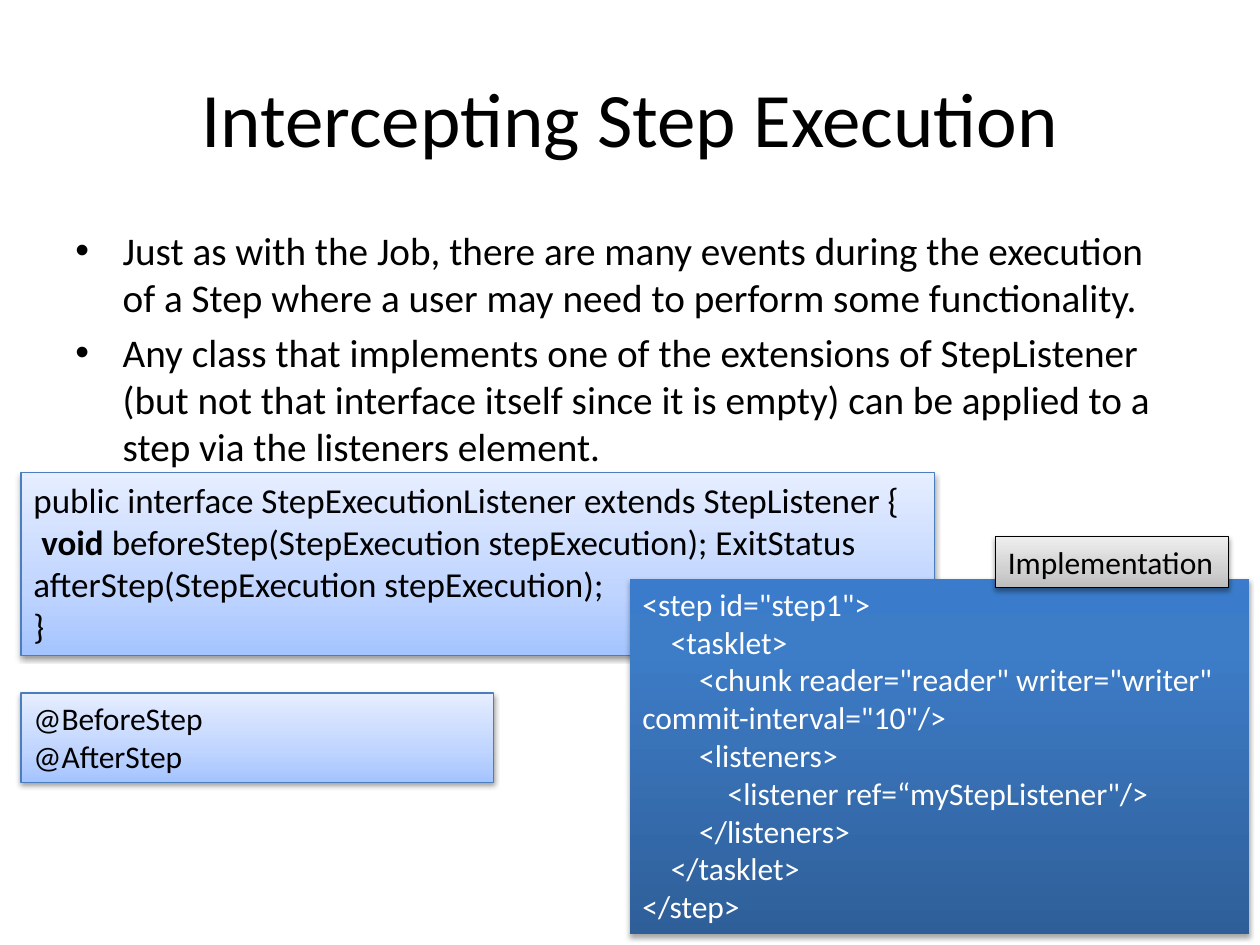
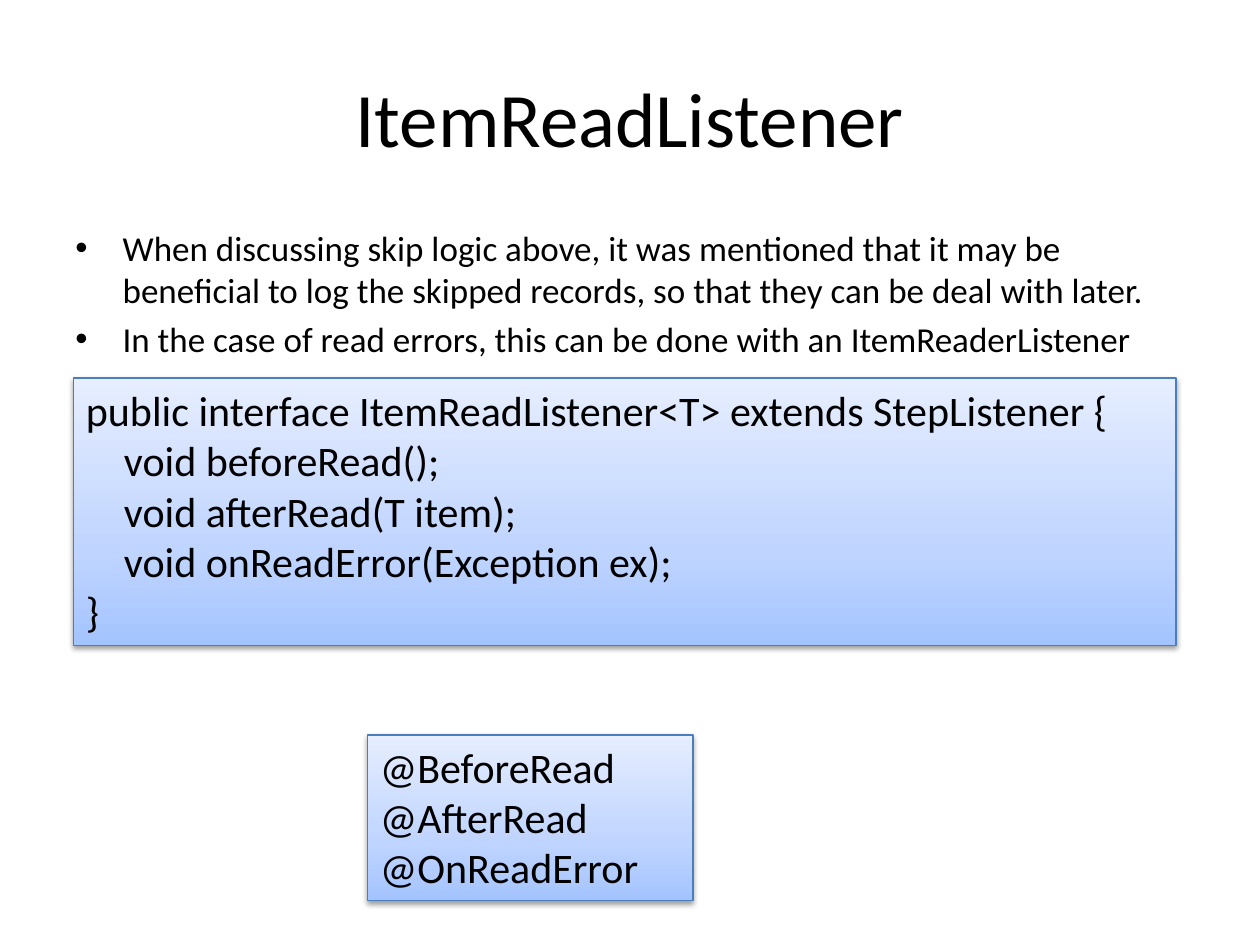
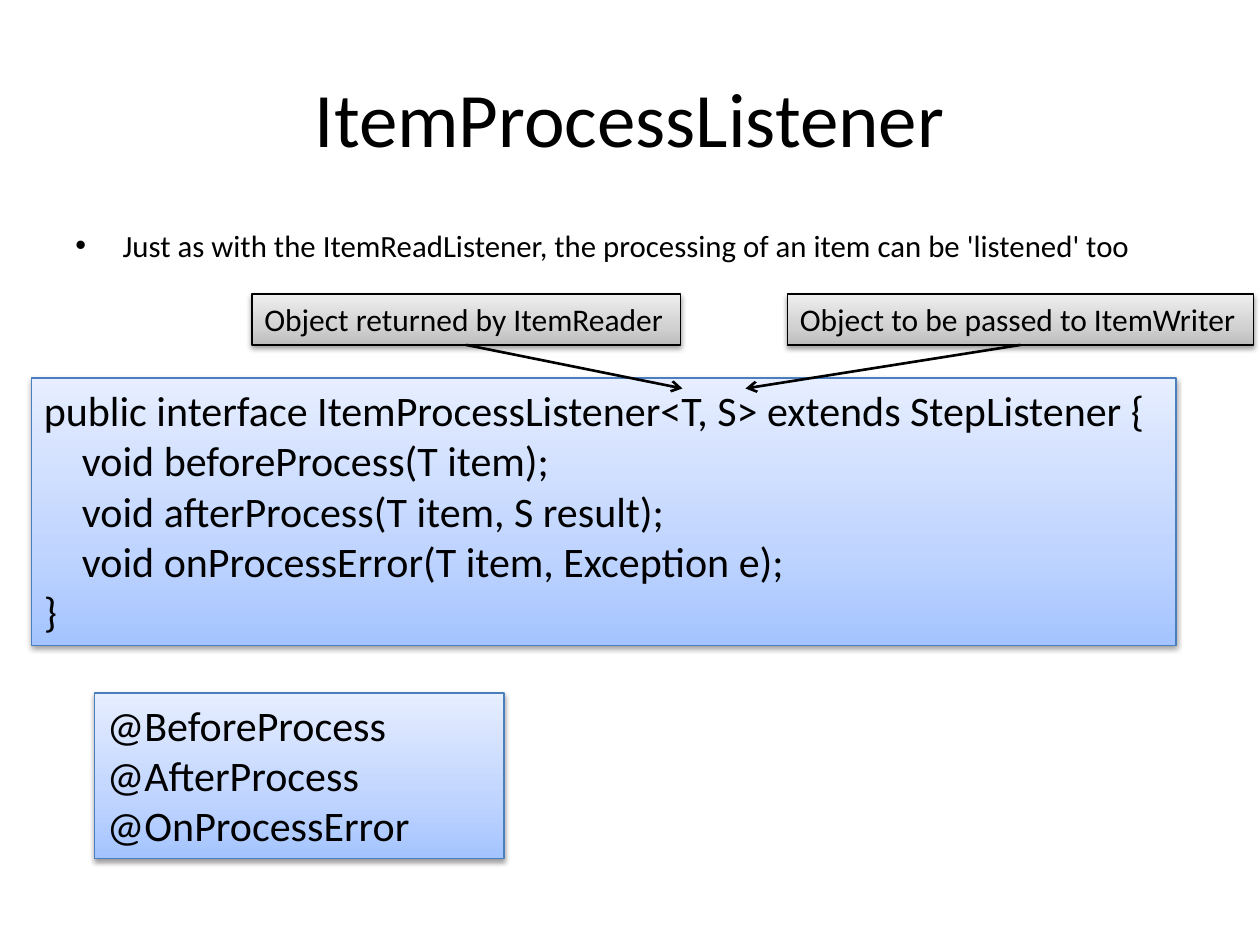
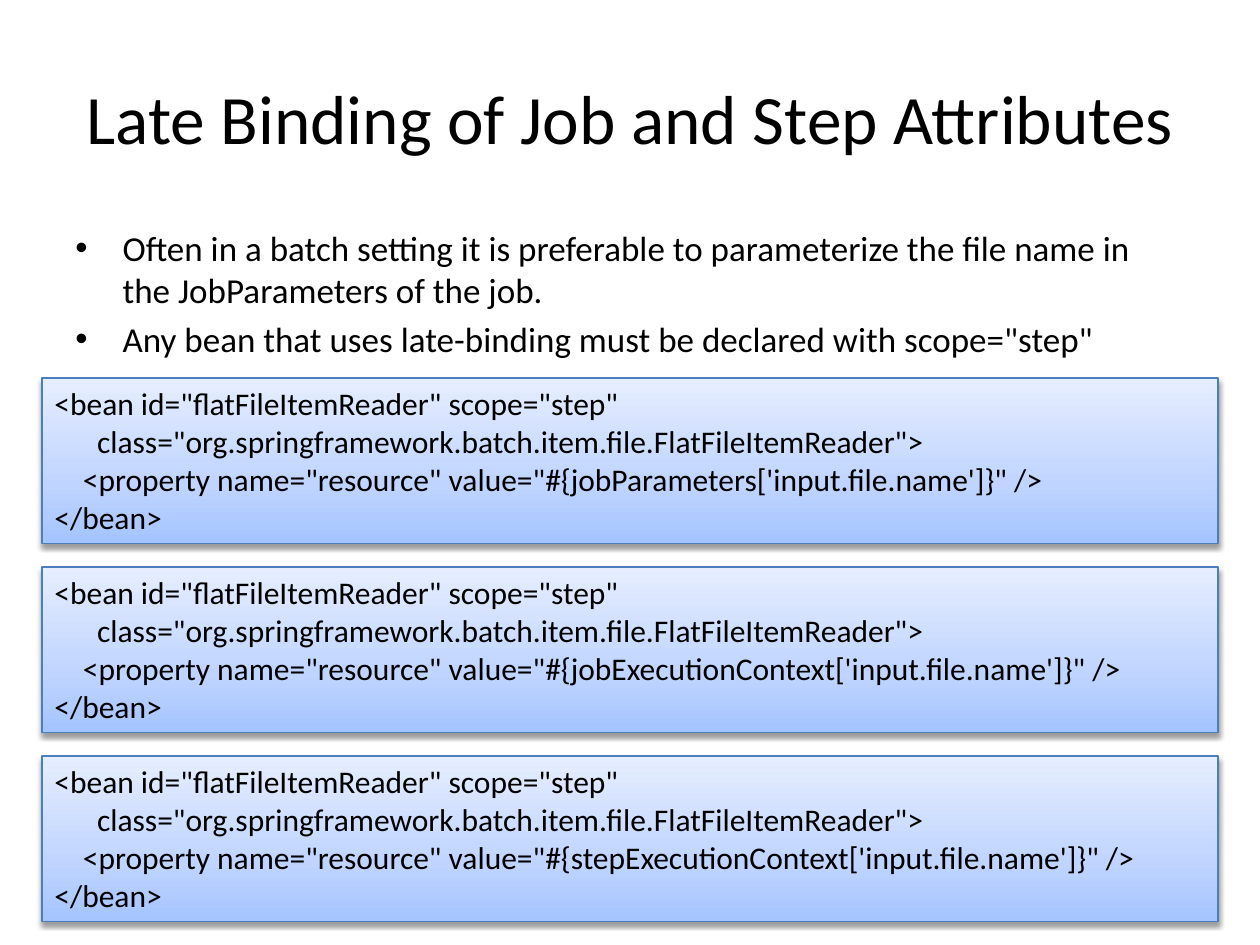
from pptx import Presentation
from pptx.dml.color import RGBColor
from pptx.enum.shapes import MSO_CONNECTOR, MSO_SHAPE
from pptx.enum.text import MSO_ANCHOR, MSO_AUTO_SIZE, PP_ALIGN
from pptx.oxml import parse_xml
from pptx.oxml.ns import nsdecls
from pptx.util import Inches, Pt

# Shared style: the grid has twelve cells to the inch
CELL = Inches(1) / 12
COLUMNS, ROWS = 120, 90
FONT = "Calibri"
INDENT = Inches(0.375)
COLORS = {"text": "000000", "inverse": "FFFFFF", "code_line": "4B7EBC", "label_line": "000000"}
PANELS = {
    "code": {"stops": {0: "A4C4FF", 35: "BFD4FF", 100: "E6EEFF"},
             "line": "code_line", "text": "text", "shadow": (38, 1.6)},
    "config": {"stops": {0: "2F5F99", 80: "3D7CC7", 100: "3A7CCB"},
               "line": None, "text": "inverse", "shadow": (35, 1.8)},
    "label": {"stops": {0: "BDBDBD", 35: "D1D1D1", 100: "EEEEEE"},
              "line": "label_line", "text": "text", "shadow": (38, 1.6)},
}
LABEL_HEIGHT = 4.85


def drawing(tag, content="", **values):
    """Make a DrawingML element."""
    attributes = "".join(f' {name}="{value}"' for name, value in values.items())
    return parse_xml(f"<a:{tag} {nsdecls('a')}{attributes}>{content}</a:{tag}>")


def color_xml(color, opacity=100):
    return f'<a:srgbClr val="{color}"><a:alpha val="{opacity * 1000}"/></a:srgbClr>'


class SlideBuilder:
    def __init__(self):
        self.deck = Presentation()
        self.deck.slide_width = round(COLUMNS * CELL)
        self.deck.slide_height = round(ROWS * CELL)
        self.page = None

    def place(self, *cells):
        return [round(cell * CELL) for cell in cells]

    def set_text(self, box, lines, size, color="text", wrap=True, **frame_values):
        """Fill a box with paragraphs; text between double asterisks is bold."""
        frame = box.text_frame
        for name, value in {"word_wrap": wrap, **frame_values}.items():
            setattr(frame, name, value)
        for index, line in enumerate(lines):
            para = frame.paragraphs[0] if index == 0 else frame.add_paragraph()
            para.alignment = PP_ALIGN.LEFT
            for part, text in enumerate(line.split("**")):
                span = para.add_run()
                span.text = text
                for name, value in {"name": FONT, "size": Pt(size), "bold": part % 2 == 1}.items():
                    setattr(span.font, name, value)
                span.font.color.rgb = RGBColor.from_string(COLORS[color])
        return frame

    def start(self, title, size=44):
        """Open a blank slide with its title."""
        self.page = self.deck.slides.add_slide(self.deck.slide_layouts[6])
        box = self.page.shapes.add_textbox(*self.place(6, 3.6, 108, 15))
        frame = self.set_text(box, [title], size, vertical_anchor=MSO_ANCHOR.MIDDLE)
        frame.paragraphs[0].alignment = PP_ALIGN.CENTER

    def bullets(self, lines, size, height):
        box = self.page.shapes.add_textbox(*self.place(6, 21, 108, height))
        frame = self.set_text(box, lines, size)
        for index, para in enumerate(frame.paragraphs):
            properties = para._p.get_or_add_pPr()
            properties.set("marL", str(INDENT))
            properties.set("indent", str(-INDENT))
            properties.append(drawing("buFont", typeface="Arial"))
            properties.append(drawing("buChar", char="•"))
            para.space_before = Pt(0.2 * size if index else 0)

    def panel(self, style, lines, cells, size=18, wrap=True):
        """Draw a shaded rectangle with text."""
        look = PANELS[style]
        box = self.page.shapes.add_shape(MSO_SHAPE.RECTANGLE, *self.place(*cells))
        stops = "".join(f'<a:gs pos="{share * 1000}">{color_xml(color)}</a:gs>'
                        for share, color in look["stops"].items())
        properties = box._element.spPr
        properties.append(drawing(
            "gradFill", f'<a:gsLst>{stops}</a:gsLst><a:lin ang="16200000" scaled="0"/>',
            rotWithShape=1))
        if look["line"]:
            box.line.color.rgb = RGBColor.from_string(COLORS[look["line"]])
            box.line.width = Pt(0.75)
        else:
            box.line.fill.background()
        opacity, distance = look["shadow"]
        box.shadow.inherit = False
        properties[-1].append(drawing(
            "outerShdw", color_xml("000000", opacity), blurRad=Pt(3.1), dist=Pt(distance),
            dir=5400000, rotWithShape=0))
        self.set_text(box, lines, size, look["text"], wrap,
                      vertical_anchor=MSO_ANCHOR.TOP, auto_size=MSO_AUTO_SIZE.SHAPE_TO_FIT_TEXT)
        return box

    def label(self, text, column, row, width):
        return self.panel("label", [text], (column, row, width, LABEL_HEIGHT), wrap=False)

    def arrow_from(self, box, column, row):
        """Point from the bottom of a box to a grid position."""
        end = self.place(column, row)
        arrow = self.page.shapes.add_connector(MSO_CONNECTOR.STRAIGHT, *end, *end)
        arrow.begin_connect(box, 2)
        arrow.line.color.rgb = RGBColor.from_string(COLORS["text"])
        arrow.line.width = Pt(1.5)
        properties = arrow._element.spPr
        properties.get_or_add_ln().append(drawing("tailEnd", type="arrow"))
        properties.append(drawing("effectLst"))


def step_execution(builder):
    builder.start("Intercepting Step Execution")
    builder.bullets([
        "Just as with the Job, there are many events during the execution of a Step where "
        "a user may need to perform some functionality.",
        "Any class that implements one of the extensions of StepListener (but not that "
        "interface itself since it is empty) can be applied to a step via the listeners element.",
    ], 22.4, 24)
    builder.panel("code", [
        "public interface StepExecutionListener extends StepListener {",
        " **void **beforeStep(StepExecution stepExecution); ExitStatus "
        "afterStep(StepExecution stepExecution);",
        "}",
    ], (2, 45, 87, 17.4), 20)
    builder.panel("code", ["@BeforeStep", "@AfterStep"], (2, 66, 45, 8.5))
    builder.panel("config", [
        '<step id="step1">',
        '    <tasklet>',
        '        <chunk reader="reader" writer="writer" commit-interval="10"/>',
        '        <listeners>',
        '            <listener ref=“myStepListener"/>',
        '        </listeners>',
        '    </tasklet>',
        '</step>',
    ], (60, 55.1, 59, 33.9))
    builder.label("Implementation", 94.8, 51.1, 22.2)


def item_read(builder):
    builder.start("ItemReadListener")
    builder.bullets([
        "When discussing skip logic above, it was mentioned that it may be beneficial to log "
        "the skipped records, so that they can be deal with later.",
        "In the case of read errors, this can be done with an ItemReaderListener",
    ], 20, 14)
    builder.panel("code", [
        "public interface ItemReadListener<T> extends StepListener {",
        "    void beforeRead();",
        "    void afterRead(T item);",
        "    void onReadError(Exception ex);",
        "}",
    ], (7, 36, 105, 25.45), 24)
    builder.panel("code", ["@BeforeRead", "@AfterRead", "@OnReadError"], (35, 70, 31, 15.75), 24)


def item_process(builder):
    builder.start("ItemProcessListener")
    builder.bullets([
        "Just as with the ItemReadListener, the processing of an item can be 'listened' too",
    ], 17.6, 7)
    builder.panel("code", [
        "public interface ItemProcessListener<T, S> extends StepListener {",
        "    void beforeProcess(T item);",
        "    void afterProcess(T item, S result);",
        "    void onProcessError(T item, Exception e);",
        "}",
    ], (3, 36, 109, 25.45), 24)
    builder.panel("code", ["@BeforeProcess", "@AfterProcess", "@OnProcessError"],
                  (9, 66, 39, 15.75), 24)
    # Notes on the two type parameters
    reader_label = builder.label("Object returned by ItemReader", 24, 28, 40.8)
    writer_label = builder.label("Object to be passed to ItemWriter", 75, 28, 44.4)
    builder.arrow_from(reader_label, 65, 37)
    builder.arrow_from(writer_label, 71, 37)


def late_binding(builder):
    builder.start("Late Binding of Job and Step Attributes", 39.6)
    builder.bullets([
        "Often in a batch setting it is preferable to parameterize the file name in "
        "the JobParameters of the job.",
        'Any bean that uses late-binding must be declared with scope="step"',
    ], 20, 15)
    # One bean for each source of the file name
    sources = ["jobParameters", "jobExecutionContext", "stepExecutionContext"]
    for index, source in enumerate(sources):
        builder.panel("code", [
            '<bean id="flatFileItemReader" scope="step"',
            '      class="org.springframework.batch.item.file.FlatFileItemReader">',
            f'    <property name="resource" value="#{{{source}[\'input.file.name\']}}" />',
            '</bean>',
        ], (4, 36 + 18 * index, 112, 15.75))


def main():
    builder = SlideBuilder()
    for build in (step_execution, item_read, item_process, late_binding):
        build(builder)
    builder.deck.save("out.pptx")


if __name__ == "__main__":
    main()
